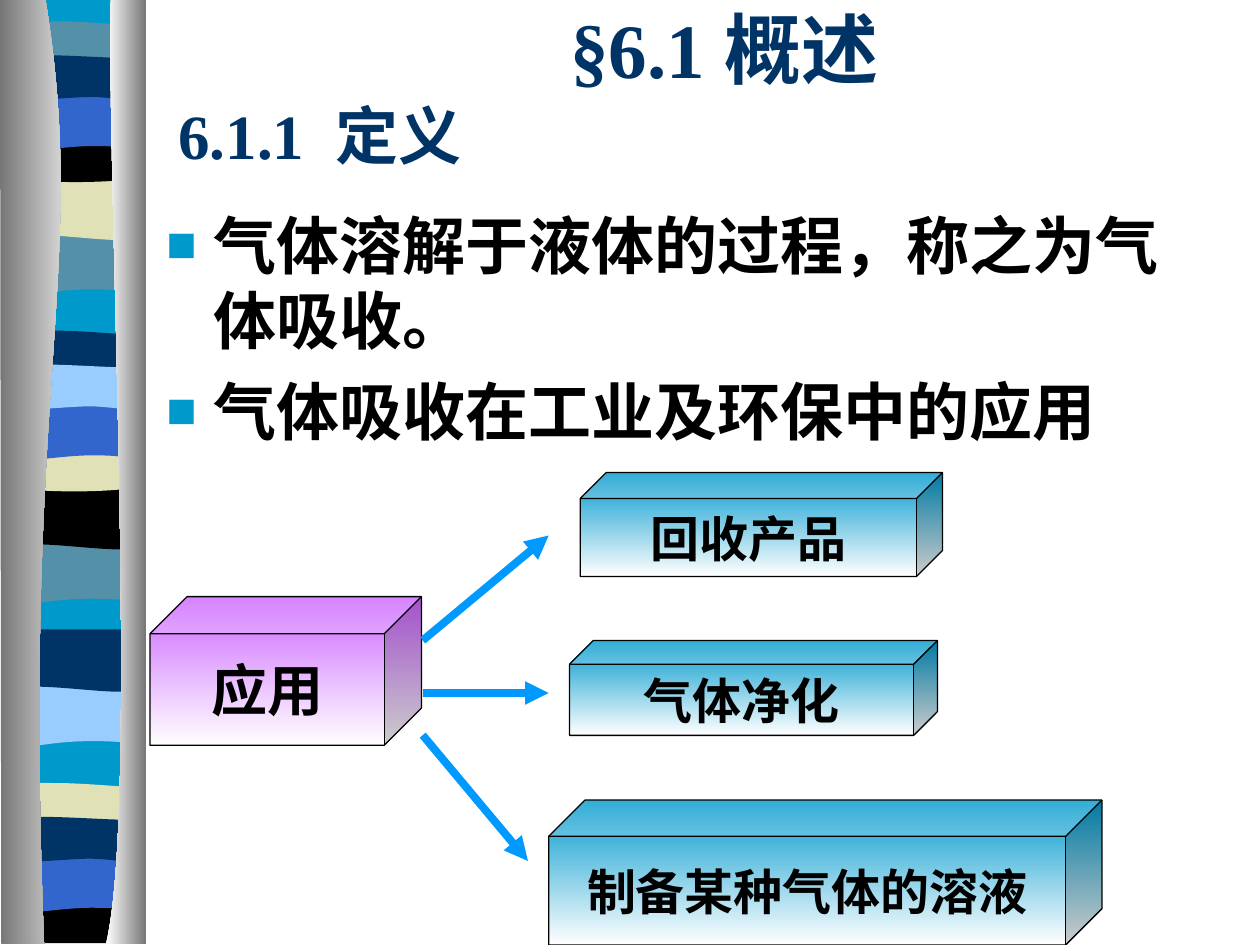
from lxml.etree import SubElement
from pptx import Presentation
from pptx.dml.color import RGBColor
from pptx.enum.shapes import MSO_CONNECTOR as Connector, MSO_SHAPE as Shape
from pptx.enum.text import MSO_ANCHOR as Anchor, MSO_AUTO_SIZE as AutoSize, PP_ALIGN as Align
from pptx.oxml.ns import qn
from pptx.util import Inches, Pt

COLORS = {name: RGBColor.from_string(value) for name, value in {
    "cyan": "0099CC", "teal": "5490A8", "navy": "003366", "blue": "3366CC",
    "black": "000000", "sand": "E1E1B7", "sky": "99CCFF", "white": "FFFFFF",
    "gray": "767676", "violet": "CC66FF", "arrow": "0099FF",
}.items()}

presentation = Presentation()
presentation.slide_width, presentation.slide_height = Inches(10), Inches(7.5)
column, row = presentation.slide_width / 100, presentation.slide_height / 75
slide = presentation.slides.add_slide(presentation.slide_layouts[1])
shapes = slide.shapes
ribbon = shapes.add_group_shape()
shapes._spTree.insert(2, ribbon._element)


def draw(outline, colors, across=0, down=0):
    points = [(round((segment[i] + across) * column), round((segment[i + 1] + down) * row))
              for segment in outline for i in range(0, len(segment), 2)]
    builder = ribbon.shapes.build_freeform(*points[0])
    builder.add_line_segments(points[1:], close=True)
    shape = builder.convert_to_shape()
    lines = iter(list(shape._element.iter(qn("a:lnTo"))))
    for segment in outline[1:]:
        first = next(lines)
        if len(segment) == 6:
            bend = SubElement(first.getparent(), qn("a:cubicBezTo"))
            first.addprevious(bend)
            for line in (first, next(lines), next(lines)):
                bend.append(line[0])
                line.getparent().remove(line)
    shape.shadow.inherit = False
    shape.line.fill.background()
    if len(colors) == 1:
        shape.fill.solid()
        shape.fill.fore_color.rgb = COLORS[colors[0]]
    else:
        shape.fill.gradient()
        shape.fill.gradient_angle = 0
        for stop, color in zip(shape.fill.gradient_stops, colors):
            stop.color.rgb = COLORS[color]


def write(shape, lines, size, font="Times New Roman", color="black", align=Align.CENTER,
          anchor=Anchor.MIDDLE, wrap=True, bullet=None, gap=0, spacing=None):
    frame = shape.text_frame
    frame.text = "\n".join(lines)
    frame.auto_size = AutoSize.NONE
    frame.word_wrap, frame.vertical_anchor = wrap, anchor
    for index, paragraph in enumerate(frame.paragraphs):
        paragraph.alignment = align
        paragraph.space_before = Pt(gap if index else 0)
        if spacing:
            paragraph.line_spacing = Pt(spacing)
        if bullet:
            properties = paragraph._p.get_or_add_pPr()
            properties.set("marL", str(round(3.75 * column)))
            properties.set("indent", str(round(-3.75 * column)))
            tint = SubElement(properties, qn("a:buClr"))
            SubElement(tint, qn("a:srgbClr"), val=str(COLORS["cyan"]))
            SubElement(properties, qn("a:buSzPct"), val="80000")
            SubElement(properties, qn("a:buFont"), typeface=font)
            SubElement(properties, qn("a:buChar"), char=bullet)
        for run in paragraph.runs:
            run.font.name, run.font.size, run.font.bold = font, Pt(size), True
            run.font.color.rgb = COLORS[color]
            SubElement(run._r.get_or_add_rPr(), qn("a:ea"), typeface="Noto Sans CJK SC")


waves = {
    "swell": [(11.4, 18.5), (11.4, 23.2), (3.9, 22.4, 2.4, 24, 0.6, 23.2), (0.6, 18.5)],
    "crest": [(11.4, 14.1), (11.4, 18.8), (9.6, 19.6, 3.9, 18.2, 0.6, 18.8), (0.6, 14.1)],
    "strip": [(11.4, 2.1), (11.4, 4.5), (9.6, 4.9, 2.4, 4.9, 0.6, 4.5), (0.6, 2.1),
              (1.2, 1.6, 2.9, 1.7, 4.7, 1.7), (6.5, 1.7, 10, 2, 11.4, 2.1)],
    "bowl": [(11.4, 10.8), (11.4, 14), (9.6, 14.6, 2.4, 14.6, 0.6, 14), (0.6, 10.8),
             (7.2, 11.3, 9.1, 10.8, 11.4, 10.8)],
    "foot": [(11.4, 10.7), (11.4, 14.4), (0.6, 14.4), (0.6, 10.7),
             (7.2, 11.2, 9.1, 10.7, 11.4, 10.7)],
    "arch": [(11.4, 7.4), (11.4, 12.1), (9.7, 11.6, 9, 11.6, 7.2, 11.6),
             (5.4, 11.6, 2.2, 12.1, 0.6, 12.1), (0.6, 7.4)],
    "ripple": [(11.4, 4.6), (11.4, 7.7), (10.7, 8.2, 9, 7.7, 7.2, 7.7),
               (5.4, 7.7, 1.7, 8.2, 0.6, 7.7), (0.6, 4.6), (2.1, 4.1, 7.9, 4.6, 9.7, 4.6),
               (11.5, 4.6, 11, 4.6, 11.4, 4.6)],
}
draw([(11.4, -0.1), (11.4, 74.7), (0.6, 74.7), (0.6, -0.1)], ["cyan"])
for across, down, bands in [
    (0, 0, {"swell": "teal", "crest": "sand", "strip": "teal",
            "bowl": "black", "arch": "blue", "ripple": "navy"}),
    (-0.1, 24.55, {"swell": "teal", "crest": "black", "strip": "navy",
                   "bowl": "sand", "arch": "blue", "ripple": "sky"}),
    (0, 35.85, {"swell": "sky", "crest": "navy"}),
    (-0.1, 60.45, {"strip": "sand", "foot": "black", "arch": "blue", "ripple": "navy"}),
]:
    for wave, color in bands.items():
        draw(waves[wave], [color], across, down)
draw([(3.6, -0.1), (7.1, 21.6, 1.7, 29.6, 3.5, 74.9), (0.1, 74.9), (0, -0.1)],
     ["gray", "white"])
draw([(8.8, -0.1), (8.4, 12.5, 11.1, 64.6, 8.4, 74.9), (11.6, 74.9), (11.6, 0)],
     ["white", "gray"])

title, body = shapes.title, slide.placeholders[1]
write(title, ["§6.1 概述"], 44, color="navy")
write(body, ["气体溶解于液体的过程，称之为气体吸收。", "气体吸收在工业及环保中的应用"], 36,
      font="Arial", align=Align.LEFT, anchor=Anchor.TOP, bullet="■", gap=9, spacing=43)

for text, left, top, width, height, color, size, font in [
    ("回收产品", 46.05, 37.5, 28.75, 8.25, "cyan", 28, "Noto Sans CJK SC"),
    ("气体净化", 45.2, 50.83, 29.2, 7.53, "cyan", 28, "Noto Sans CJK SC"),
    ("制备某种气体的溶液", 43.55, 63.5, 43.9, 11.5, "cyan", 28, "Noto Sans CJK SC"),
    ("应用", 11.9, 47.35, 21.55, 11.8, "violet", 32, "Times New Roman"),
]:
    cube = shapes.add_shape(Shape.CUBE, round(left * column), round(top * row),
                            round(width * column), round(height * row))
    cube.shadow.inherit = False
    cube.fill.gradient()
    cube.fill.gradient_angle = 270
    for stop, name in zip(cube.fill.gradient_stops, (color, "white")):
        stop.color.rgb = COLORS[name]
    cube.line.color.rgb, cube.line.width = COLORS["black"], Pt(0.75)
    write(cube, [text], size, font=font, wrap=False)

for start, end_column, end_row in [(50.83, 43.55, 42.5), (55, 43.55, 55), (58.35, 41.9, 68.33)]:
    arrow = shapes.add_connector(Connector.STRAIGHT, round(33.55 * column), round(start * row),
                                 round(end_column * column), round(end_row * row))
    arrow.line.color.rgb, arrow.line.width = COLORS["arrow"], Pt(4.5)
    SubElement(arrow.line._get_or_add_ln(), qn("a:tailEnd"), type="triangle")
    SubElement(arrow._element.spPr, qn("a:effectLst"))

heading = shapes.add_textbox(0, 0, 0, 0)
write(heading, ["6.1.1  定义"], 36, color="navy", anchor=Anchor.TOP)
for shape, (left, top, width, height) in [
    (title, (15, 0, 85, 7.5)), (body, (12.2, 15.9, 85, 20.8)), (heading, (11.05, 7.2, 28.7, 7)),
]:
    shape.left, shape.width = round(left * column), round(width * column)
    shape.top, shape.height = round(top * row), round(height * row)

presentation.save("out.pptx")
